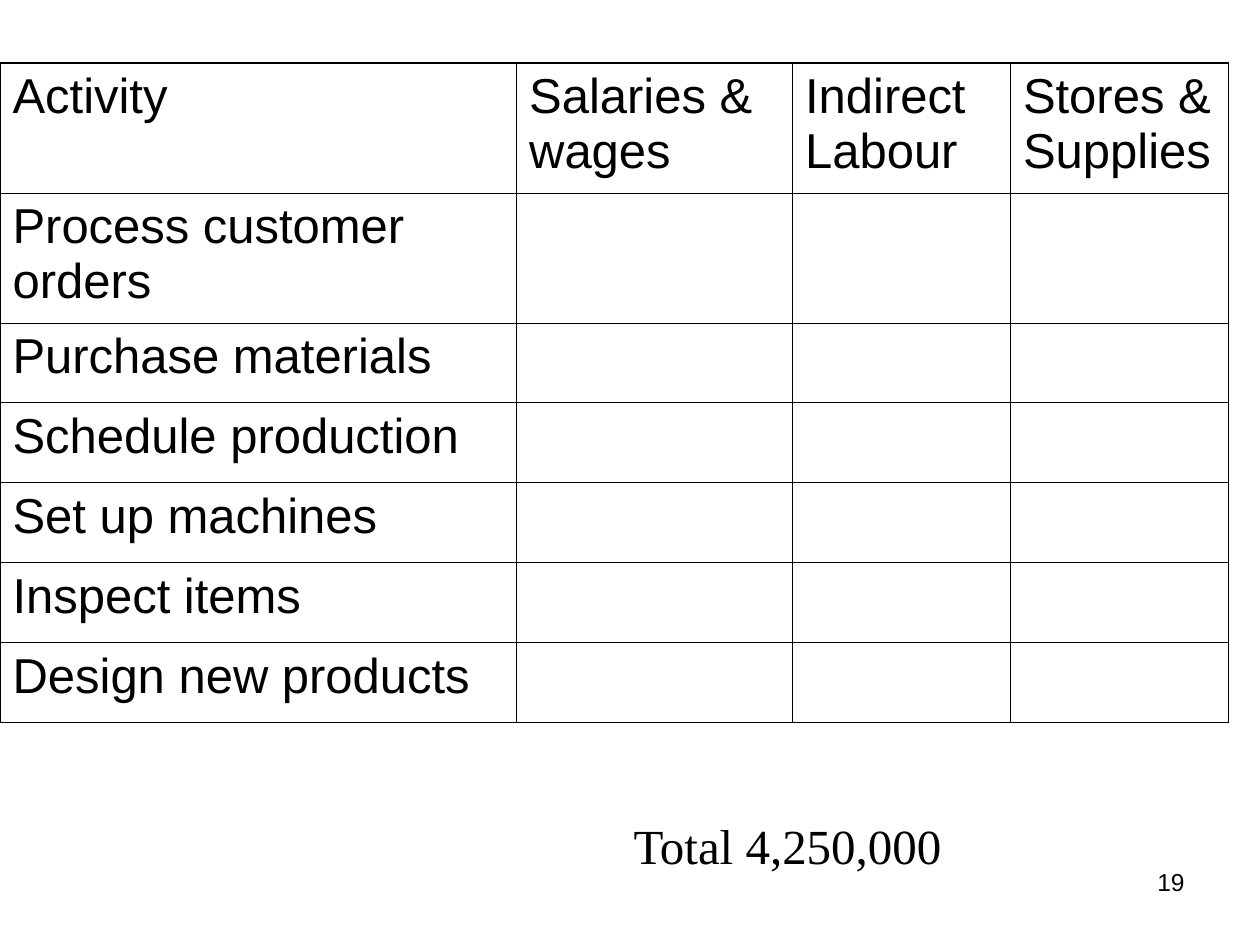
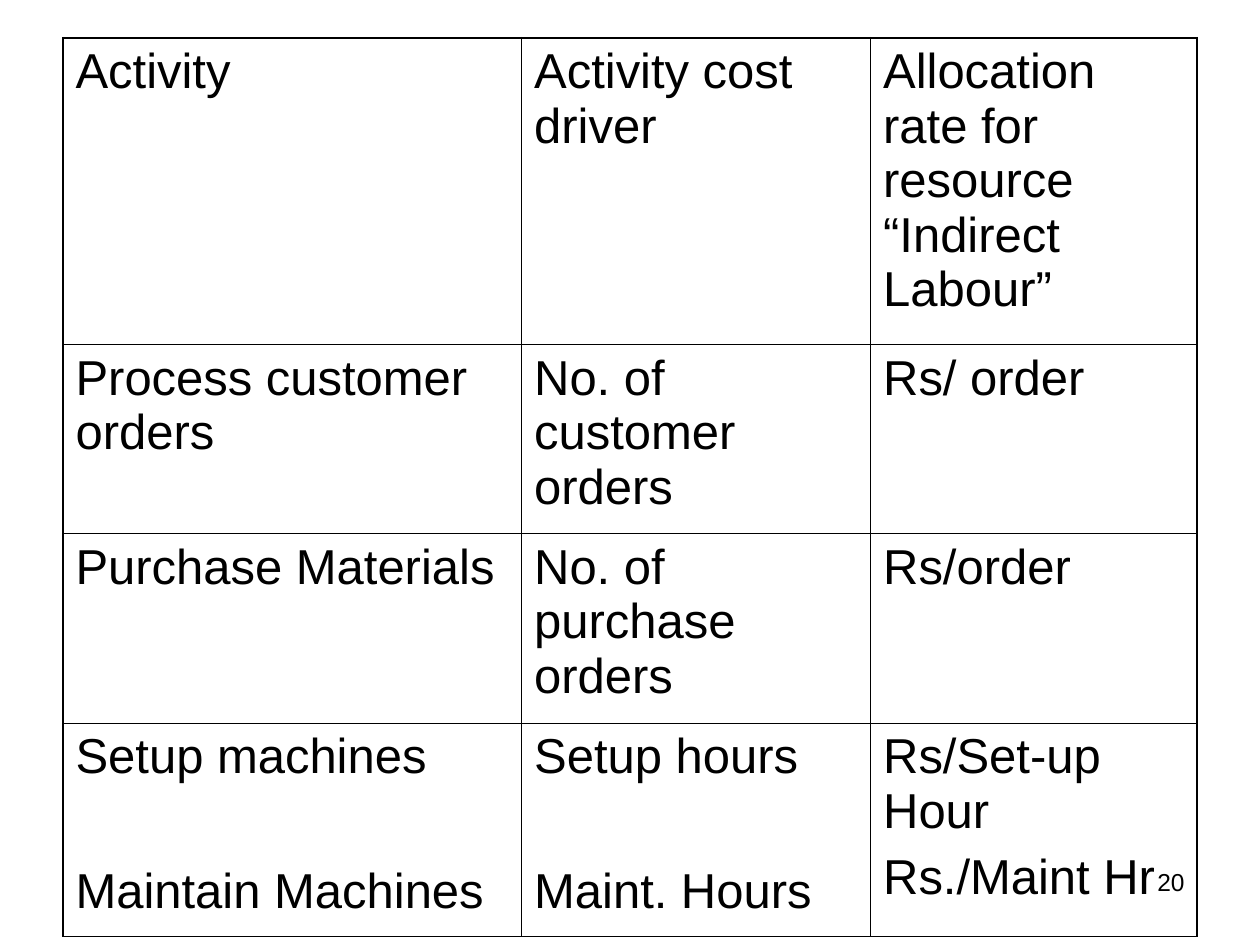
from dataclasses import dataclass

from lxml.etree import SubElement
from pptx import Presentation
from pptx.dml.color import RGBColor
from pptx.enum.text import MSO_ANCHOR, PP_ALIGN
from pptx.oxml.ns import qn
from pptx.util import Inches, Pt


@dataclass(frozen=True)
class Theme:
    """Colours, fonts, type sizes and line widths shared by both slides."""
    ink: str = "000000"
    sans: str = "Arial"
    serif: str = "Times New Roman"
    body: int = 28
    number: int = 14
    frame: float = 1.08
    rule: float = 0.45


THEME = Theme()
WIDTH, HEIGHT = Inches(10), Inches(7.5)

RESOURCE_ROWS = [
    ["Activity", "Salaries & wages", "Indirect Labour", "Stores & Supplies"],
    ["Process customer orders"],
    ["Purchase materials"],
    ["Schedule production"],
    ["Set up machines"],
    ["Inspect items"],
    ["Design new products"],
]

DRIVER_ROWS = [
    ["Activity", "Activity cost driver",
     "Allocation rate for resource “Indirect Labour”"],
    ["Process customer orders", "No. of customer orders", "Rs/ order"],
    ["Purchase Materials", "No. of purchase orders", "Rs/order"],
    ["Setup machines\nMaintain Machines", "Setup hours\nMaint. Hours",
     "Rs/Set-up Hour\nRs./Maint Hr"],
]


def across(percent):
    """Return a share of the slide's width."""
    return round(WIDTH * percent / 100)


def down(percent):
    """Return a share of the slide's height."""
    return round(HEIGHT * percent / 100)


def style(para, size=THEME.body, face=THEME.sans):
    """Set the font of a paragraph."""
    para.font.size = Pt(size)
    para.font.name = face
    para.font.color.rgb = RGBColor.from_string(THEME.ink)


def add_border(cell, side, width):
    """Draw one side of a cell's border."""
    line = SubElement(cell._tc.get_or_add_tcPr(), qn(f"a:ln{side}"), w=str(Pt(width)))
    fill = SubElement(line, qn("a:solidFill"))
    SubElement(fill, qn("a:srgbClr"), val=THEME.ink)


def fill_cell(cell, text, gap):
    """Write a cell's paragraphs, the later ones set off by a gap in points."""
    cell.text = text
    cell.fill.background()
    for index, para in enumerate(cell.text_frame.paragraphs):
        style(para)
        if index:
            para.space_before = Pt(gap)


def add_grid(page, left, top, columns, heights, rows, gaps):
    """Add a table with a heavier outer frame and thin inner rules."""
    table = page.shapes.add_table(
        len(heights), len(columns), across(left), down(top),
        across(sum(columns)), down(sum(heights))).table
    table.first_row = table.horz_banding = False
    for column, share in zip(table.columns, columns):
        column.width = across(share)
    for row, share in zip(table.rows, heights):
        row.height = down(share)
    for r, texts in enumerate(rows):
        for c, gap in enumerate(gaps):
            cell = table.cell(r, c)
            outer = {"L": c == 0, "R": c == len(columns) - 1,
                     "T": r == 0, "B": r == len(rows) - 1}
            for side, is_outer in outer.items():
                add_border(cell, side, THEME.frame if is_outer else THEME.rule)
            fill_cell(cell, texts[c] if c < len(texts) else "", gap)


def add_text(page, text, left, top, width, height, **font):
    """Add a one-line text box and return its frame and paragraph."""
    box = page.shapes.add_textbox(across(left), down(top), across(width), down(height))
    frame = box.text_frame
    frame.word_wrap = True
    para = frame.paragraphs[0]
    para.text = text
    style(para, **font)
    return frame, para


def add_total(page, text):
    """Add the indented total below the table."""
    frame, para = add_text(page, text, 6.7, 85.6, 83.3, 7.6, face=THEME.serif)
    frame.vertical_anchor = MSO_ANCHOR.BOTTOM
    para._p.get_or_add_pPr().set("marL", str(across(42.6)))


def add_page_number(page, number):
    """Add the page number at the lower right."""
    para = add_text(page, str(number), 71.7, 91.1, 23.3, 6.9, size=THEME.number)[1]
    para.alignment = PP_ALIGN.RIGHT


def main():
    """Build both slides and save the deck."""
    deck = Presentation()
    deck.slide_width, deck.slide_height = WIDTH, HEIGHT
    blank = deck.slide_layouts[6]

    resources = deck.slides.add_slide(blank)
    add_grid(resources, 0, 6.67, [41, 21.9, 17.3, 17.3],
             [13.75] * 2 + [8.46] * 5, RESOURCE_ROWS, [0] * 4)
    add_total(resources, "Total 4,250,000")
    add_page_number(resources, 19)

    drivers = deck.slides.add_slide(blank)
    add_grid(drivers, 5, 4, [36.4, 27.7, 25.9],
             [32.4, 20, 20, 22.6], DRIVER_ROWS, [46, 46, 7])
    add_page_number(drivers, 20)

    deck.save("out.pptx")


if __name__ == "__main__":
    main()
